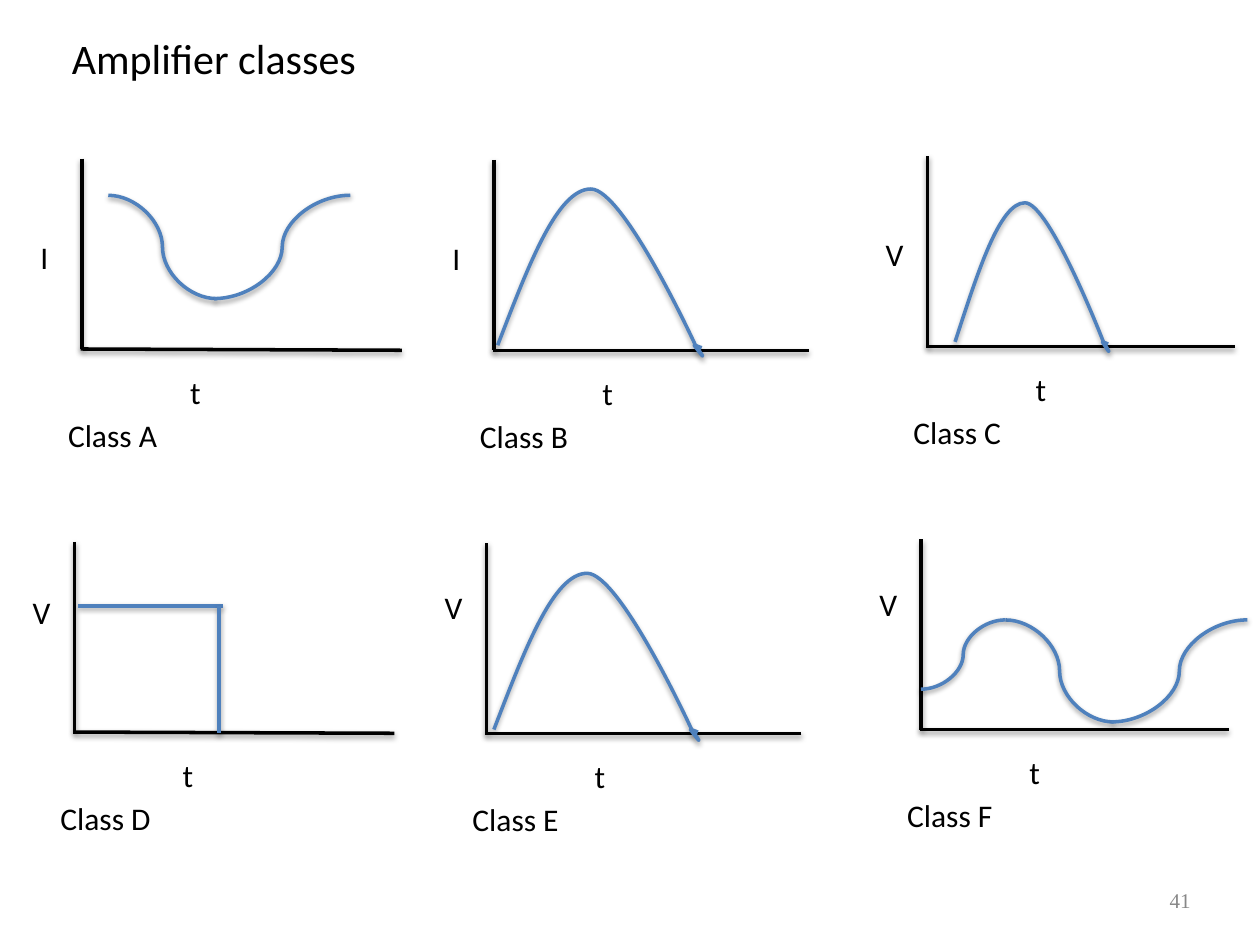
"""Build a slide comparing the waveforms of six amplifier classes."""
from dataclasses import dataclass

import lxml.etree
import pptx
import pptx.dml.color
import pptx.enum.shapes
import pptx.enum.text
import pptx.oxml
import pptx.oxml.ns
import pptx.util

Inches = pptx.util.Inches
Pt = pptx.util.Pt
Align = pptx.enum.text.PP_ALIGN
Anchor = pptx.enum.text.MSO_ANCHOR
Connector = pptx.enum.shapes.MSO_CONNECTOR
Point = tuple[float, float]


@dataclass(frozen=True)
class Theme:
    ink: str = "000000"
    wave: str = "4F81BD"
    muted: str = "888888"
    font: str = "Calibri"
    number_font: str = "Times New Roman"
    title_size: int = 24
    label_size: int = 18
    number_size: int = 12
    line_width: int = 2


@dataclass(frozen=True)
class Panel:
    name: str
    symbol: str
    left: float
    top: float
    axis_length: float
    symbol_drop: float = 0.58
    tilt: float = 0.0


@dataclass(frozen=True)
class Stroke:
    start: Point
    end: Point
    kind: Connector = Connector.CURVE


@dataclass(frozen=True)
class Hump:
    left: float
    top: float
    x_scale: float = 1.0
    y_scale: float = 1.0


THEME = Theme()
AXIS_HEIGHT = 1.51
PANELS = [
    Panel("Class A", "I", 0.65, 1.26, 2.54, tilt=0.01),
    Panel("Class B", "I", 3.92, 1.27, 2.5),
    Panel("Class C", "V", 7.36, 1.24, 2.44),
    Panel("Class D", "V", 0.59, 4.3, 2.54, 0.36, 0.01),
    Panel("Class E", "V", 3.86, 4.31, 2.5, 0.31),
    Panel("Class F", "V", 7.31, 4.28, 2.44, 0.31),
]
STROKES = [
    Stroke((0.86, 1.55), (1.72, 2.37)),
    Stroke((1.7, 2.37), (2.78, 1.55)),
    Stroke((0.62, 4.81), (1.77, 4.81), Connector.STRAIGHT),
    Stroke((1.74, 4.81), (1.74, 5.82), Connector.STRAIGHT),
    Stroke((7.98, 4.92), (8.84, 5.73)),
    Stroke((8.82, 5.73), (9.9, 4.92)),
    Stroke((7.31, 5.47), (7.98, 4.92)),
]
HUMPS = [Hump(3.95, 1.5), Hump(7.58, 1.61, 0.75, 0.89), Hump(3.92, 4.55)]
HUMP_EXTENT: list[Point] = [(0, 1.24), (0.74, 0), (1.63, 1.32)]
HUMP_CURVES: list[tuple[Point, Point, Point]] = [
    ((0.24, 0.62), (0.47, 0), (0.74, 0)),
    ((1, 0), (1.57, 1.24), (1.57, 1.24)),
    ((1.71, 1.44), (1.55, 1.23), (1.56, 1.24)),
    ((1.57, 1.24), (1.59, 1.25), (1.62, 1.26)),
]


def style_line(shape, color: str, distance: float = 1.6, opacity: int = 38) -> None:
    """Give a shape its line and a soft shadow below."""
    shape.line.color.rgb = pptx.dml.color.RGBColor.from_string(color)
    shape.line.width = Pt(THEME.line_width)
    shape._element.spPr.append(pptx.oxml.parse_xml(
        f'<a:effectLst {pptx.oxml.ns.nsdecls("a")}>'
        f'<a:outerShdw blurRad="{Pt(3)}" dist="{Pt(distance)}" dir="5400000" rotWithShape="0">'
        f'<a:srgbClr val="000000"><a:alpha val="{opacity * 1000}"/></a:srgbClr>'
        '</a:outerShdw></a:effectLst>'))


def draw_stroke(page, stroke: Stroke, color: str) -> None:
    """Draw one straight or curved connector."""
    ends = [Inches(value) for value in (*stroke.start, *stroke.end)]
    style_line(page.shapes.add_connector(stroke.kind, *ends), color)


def draw_hump(page, hump: Hump) -> None:
    """Draw a hump waveform of cubic curves at its place and scale."""
    qn = pptx.oxml.ns.qn
    extent = [(Inches(hump.left + x * hump.x_scale), Inches(hump.top + y * hump.y_scale))
              for x, y in HUMP_EXTENT]
    builder = page.shapes.build_freeform(*extent[0])
    builder.add_line_segments(extent[1:], close=False)
    shape = builder.convert_to_shape()
    outline = next(shape._element.iter(qn("a:path")))
    for segment in outline.findall(qn("a:lnTo")):
        outline.remove(segment)
    for curve in HUMP_CURVES:
        segment = lxml.etree.SubElement(outline, qn("a:cubicBezTo"))
        for x, y in curve:
            lxml.etree.SubElement(segment, qn("a:pt"), x=str(int(Inches(x * hump.x_scale))),
                                  y=str(int(Inches(y * hump.y_scale))))
    shape.fill.background()
    style_line(shape, THEME.wave, distance=1.8, opacity=35)


def write_text(box, text: str, size: int, color: str = THEME.ink, font: str = THEME.font,
               align: Align = Align.LEFT, anchor: Anchor = Anchor.TOP,
               inset: float = 0.05, wrap: bool = False) -> None:
    """Write one formatted run into a box."""
    frame = box.text_frame
    frame.margin_left = frame.margin_right = Inches(inset)
    frame.margin_top = frame.margin_bottom = Inches(inset)
    frame.word_wrap = wrap
    frame.auto_size = pptx.enum.text.MSO_AUTO_SIZE.SHAPE_TO_FIT_TEXT
    frame.vertical_anchor = anchor
    para = frame.paragraphs[0]
    para.alignment = align
    span = para.add_run()
    span.text = text
    span.font.size = Pt(size)
    span.font.name = font
    span.font.color.rgb = pptx.dml.color.RGBColor.from_string(color)


def add_box(page, left: float, top: float, width: float, height: float = 0.4):
    """Add a text box placed in inches."""
    return page.shapes.add_textbox(Inches(left), Inches(top), Inches(width), Inches(height))


def draw_panel(page, panel: Panel) -> None:
    """Draw the axes and labels of one amplifier class."""
    left, top = panel.left, panel.top
    bottom = top + AXIS_HEIGHT
    right = left + panel.axis_length
    for start, end in (((left, top), (left, bottom)),
                       ((right, bottom + panel.tilt), (left - 0.01, bottom))):
        draw_stroke(page, Stroke(start, end, Connector.STRAIGHT), THEME.ink)
    symbol_width = 0.16 if panel.symbol == "I" else 0.24
    write_text(add_box(page, left - 0.38, top + panel.symbol_drop, symbol_width),
               panel.symbol, THEME.label_size)
    write_text(add_box(page, left + 0.81, top + 1.65, 0.19), "t", THEME.label_size)
    write_text(add_box(page, left - 0.16, top + 1.99, 1.83), panel.name, THEME.label_size, wrap=True)


def main() -> None:
    """Build and save the deck."""
    deck = pptx.Presentation()
    deck.slide_width, deck.slide_height = Inches(10), Inches(7.5)
    page = deck.slides.add_slide(deck.slide_layouts[5])
    title = page.shapes.title
    title.left, title.top = Inches(0.57), Inches(0.26)
    title.width, title.height = Inches(2.28), Inches(0.4)
    write_text(title, "Amplifier classes", THEME.title_size, inset=0)
    write_text(add_box(page, 7.17, 7, 2.33, 0.29), "41", THEME.number_size, THEME.muted,
               THEME.number_font, Align.RIGHT, Anchor.MIDDLE, wrap=True)
    for panel in PANELS:
        draw_panel(page, panel)
    for stroke in STROKES:
        draw_stroke(page, stroke, THEME.wave)
    for hump in HUMPS:
        draw_hump(page, hump)
    deck.save("out.pptx")


if __name__ == "__main__":
    main()
